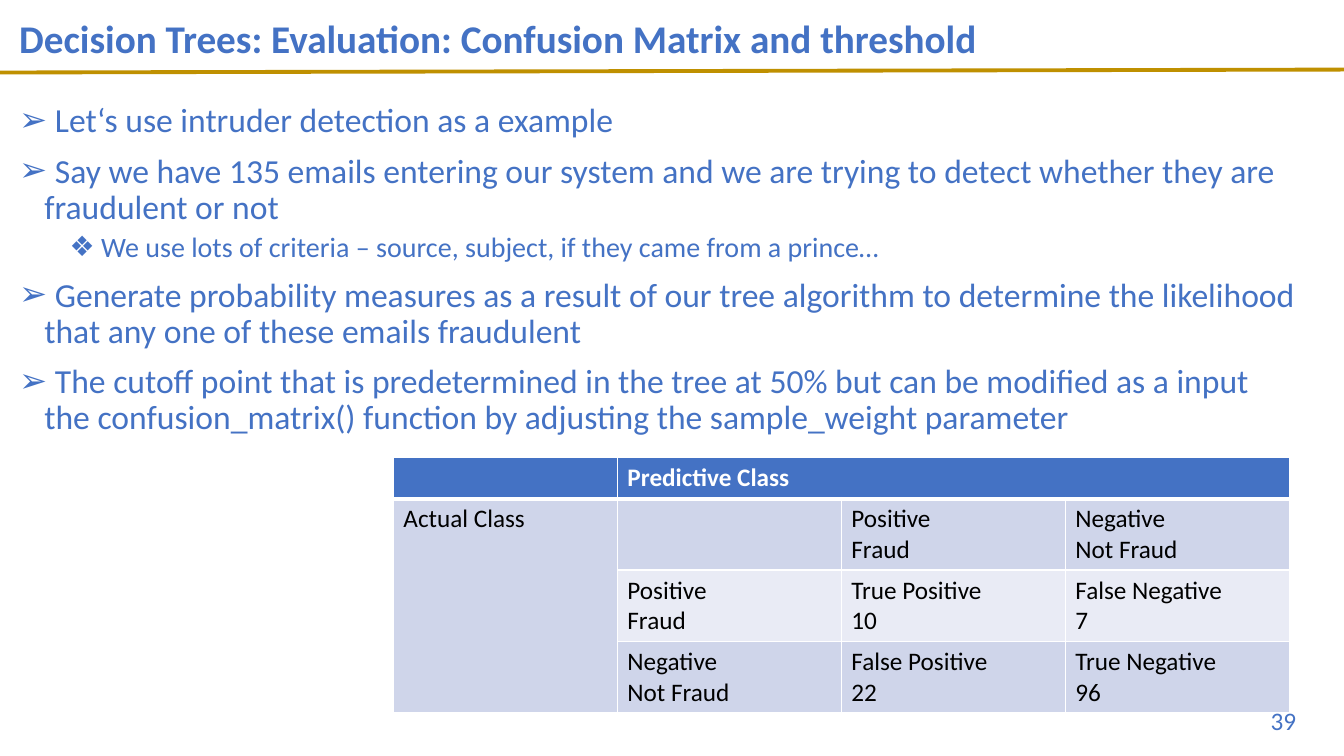
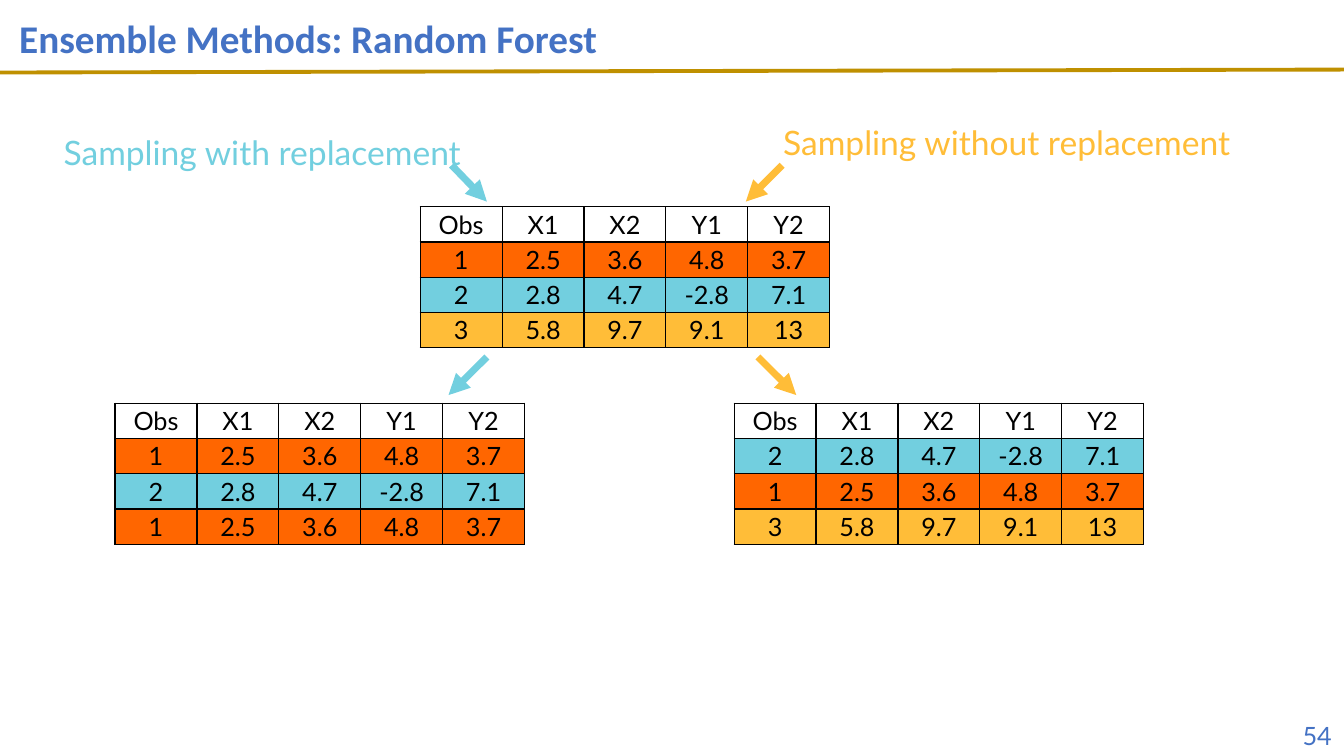
import dataclasses
import pptx
import pptx.dml.color
import pptx.enum.shapes
import pptx.enum.text
import pptx.oxml
import pptx.oxml.ns
import pptx.util

Pt = pptx.util.Pt
Align = pptx.enum.text.PP_ALIGN
Anchor = pptx.enum.text.MSO_ANCHOR
Fit = pptx.enum.text.MSO_AUTO_SIZE
NS = pptx.oxml.ns.nsdecls("a")


@dataclasses.dataclass(frozen=True)
class Theme:
    blue: str = "4472C4"
    gold: str = "BF9000"
    dark: str = "CFD5EA"
    light: str = "E9EBF5"
    teal: str = "72CFDF"
    amber: str = "FFBD38"
    orange: str = "FF6600"
    black: str = "000000"
    white: str = "FFFFFF"
    main: str = "Calibri"
    alt: str = "Lato"
    title: int = 28
    body: int = 24
    sub: int = 20
    small: int = 18


T = Theme()


def rgb(code):
    return pptx.dml.color.RGBColor.from_string(code)


def xml(text):
    return pptx.oxml.parse_xml(text)


def put(frame, text, size=T.small, color=T.blue, face=T.main, bold=False,
        align=Align.LEFT, lead=1.0, before=0, mark=None, left=0):
    for part in text.split("\n"):
        para = frame.paragraphs[0]
        first = not para.runs
        if not first:
            para = frame.add_paragraph()
        para.alignment = align
        para.line_spacing = lead
        para.space_before = Pt(0 if first else before)
        if mark:
            props = para._p.get_or_add_pPr()
            props.set("marL", str(Pt(left)))
            props.set("indent", str(-Pt(18)))
            props.append(xml(f'<a:buFont {NS} typeface="Arial"/>'))
            props.append(xml(f'<a:buChar {NS} char="{mark}"/>'))
        run = para.add_run()
        run.text = part
        run.font.size = Pt(size)
        run.font.name = face
        run.font.bold = bold
        run.font.color.rgb = rgb(color)


def inset(item, side, top):
    item.margin_left = item.margin_right = Pt(side)
    item.margin_top = item.margin_bottom = Pt(top)


def place(shape, x, y, w, h):
    shape.left, shape.top, shape.width, shape.height = Pt(x), Pt(y), Pt(w), Pt(h)


class Deck:
    def __init__(self):
        self.file = pptx.Presentation()
        self.file.slide_width = Pt(960)
        self.file.slide_height = Pt(540)
        self.slide = None

    def start(self, title, layout):
        self.slide = self.file.slides.add_slide(self.file.slide_layouts[layout])
        self.line((0, 51.8), (960, 49.7), T.gold, 2.75)
        shape = self.slide.shapes.title
        place(shape, 6.5, 0, 828, 57.6)
        frame = shape.text_frame
        frame.auto_size = Fit.NONE
        frame.vertical_anchor = Anchor.MIDDLE
        put(frame, title, size=T.title, bold=True, lead=0.9)

    def line(self, start, end, color, width, arrow=False):
        ends = [Pt(v) for v in (*start, *end)]
        shape = self.slide.shapes.add_connector(
            pptx.enum.shapes.MSO_CONNECTOR.STRAIGHT, *ends)
        shape.line.color.rgb = rgb(color)
        shape.line.width = Pt(width)
        if arrow:
            shape.line._get_or_add_ln().append(
                xml(f'<a:tailEnd {NS} type="triangle"/>'))
        shape._element.spPr.append(xml(f"<a:effectLst {NS}/>"))

    def points(self, x, y, w, h, items):
        shape = self.slide.placeholders[1]
        place(shape, x, y, w, h)
        frame = shape.text_frame
        frame.auto_size = Fit.NONE
        for level, text in items:
            look = (dict(size=T.sub, before=5, mark="❖", left=54) if level
                    else dict(size=T.body, before=10, mark="➢", left=18))
            put(frame, text, lead=0.9, **look)

    def note(self, x, y, w, h, text, side=7.2, top=3.6, **look):
        shape = self.slide.shapes.add_textbox(Pt(x), Pt(y), Pt(w), Pt(h))
        frame = shape.text_frame
        frame.word_wrap = True
        inset(frame, side, top)
        put(frame, text, **look)

    def number(self, x, y, w, text, face):
        self.note(x, y, w, 28.8, text, face=face, align=Align.RIGHT)

    def edge(self, cell, color, widths):
        props = cell._tc.get_or_add_tcPr()
        for side, width in zip("LRTB", widths):
            props.append(xml(
                f'<a:ln{side} {NS} w="{Pt(width)}"><a:solidFill>'
                f'<a:srgbClr val="{color}"/></a:solidFill></a:ln{side}>'))

    def grid(self, x, y, width, heights, rows, fills, edge, look,
             head=None, rule=1, joins=(), side=7.2, top=3.6):
        count = len(rows[0])
        table = self.slide.shapes.add_table(
            len(rows), count, Pt(x), Pt(y),
            Pt(width * count), Pt(sum(heights))).table
        table.first_row = table.horz_banding = False
        for col in table.columns:
            col.width = Pt(width)
        for start, end in joins:
            table.cell(*start).merge(table.cell(*end))
        for r, row in enumerate(rows):
            table.rows[r].height = Pt(heights[r])
            for c, text in enumerate(row):
                cell = table.cell(r, c)
                inset(cell, side, top)
                self.edge(cell, edge, (1, 1, rule if r == 1 else 1,
                                       rule if r == 0 else 1))
                if fills[r]:
                    cell.fill.solid()
                    cell.fill.fore_color.rgb = rgb(fills[r])
                else:
                    cell.fill.background()
                if text:
                    put(cell.text_frame, text,
                        **(head if head and r == 0 else look))

    def sample(self, x, y, picks):
        data = {
            "1": (T.orange, ["2.5", "3.6", "4.8", "3.7"]),
            "2": (T.teal, ["2.8", "4.7", "-2.8", "7.1"]),
            "3": (T.amber, ["5.8", "9.7", "9.1", "13"]),
        }
        rows = [["Obs", "X1", "X2", "Y1", "Y2"]]
        rows += [[p, *data[p][1]] for p in picks]
        fills = [None] + [data[p][0] for p in picks]
        self.grid(x, y, 58.5, [25.2] * len(rows), rows, fills, T.black,
                  dict(color=T.black, face=T.alt, align=Align.CENTER),
                  side=3.6, top=1.8)


def matrix(deck):
    deck.start("Decision Trees: Evaluation: Confusion Matrix and threshold", 1)
    deck.number(717, 500.4, 216, "39", T.main)
    deck.grid(
        281, 327, 160, [29.2, 51, 51, 51],
        [["", "Predictive Class", "", ""],
         ["Actual Class", "", "Positive\nFraud", "Negative\nNot Fraud"],
         ["", "Positive\nFraud", "True Positive\n10", "False Negative\n7"],
         ["", "Negative\nNot Fraud", "False Positive\n22", "True Negative\n96"]],
        [T.blue, T.dark, T.light, T.dark], T.white, dict(color=T.black),
        head=dict(color=T.white, bold=True), rule=3,
        joins=[((0, 1), (0, 3)), ((1, 0), (3, 0))])
    deck.points(6.5, 70.6, 926.6, 247, [
        (0, " Let‘s use intruder detection as a example"),
        (0, " Say we have 135 emails entering our system and we are trying to "
            "detect whether they are fraudulent or not"),
        (1, " We use lots of criteria – source, subject, if they came from a "
            "prince…"),
        (0, " Generate probability measures as a result of our tree algorithm "
            "to determine the likelihood that any one of these emails fraudulent"),
        (0, " The cutoff point that is predetermined in the tree at 50% but can "
            "be modified as a input the confusion_matrix() function by adjusting "
            "the sample_weight parameter"),
    ])


def forest(deck):
    deck.start("Ensemble Methods: Random Forest", 5)
    for x, y, w, h, text, color in (
            (41.8, 92.2, 306, 36, "Sampling with replacement", T.teal),
            (555.8, 85, 363.6, 51, "Sampling without replacement", T.amber)):
        deck.note(x, y, w, h, text, side=3.6, top=2.2,
                  size=T.body, color=color, face=T.alt)
    deck.sample(300.2, 147.6, "123")
    deck.sample(82.2, 288, "121")
    deck.sample(524.4, 288, "213")
    for start, end, color in (
            ((322.6, 118), (347.8, 144), T.teal),
            ((558.7, 118), (532.8, 144), T.amber),
            ((541.4, 255), (568.8, 282.2), T.amber),
            ((347.8, 255), (320.4, 282.2), T.teal)):
        deck.line(start, end, color, 5, arrow=True)
    deck.number(734.4, 511.2, 224, "54", T.alt)


def main():
    deck = Deck()
    matrix(deck)
    forest(deck)
    deck.file.save("out.pptx")


if __name__ == "__main__":
    main()
